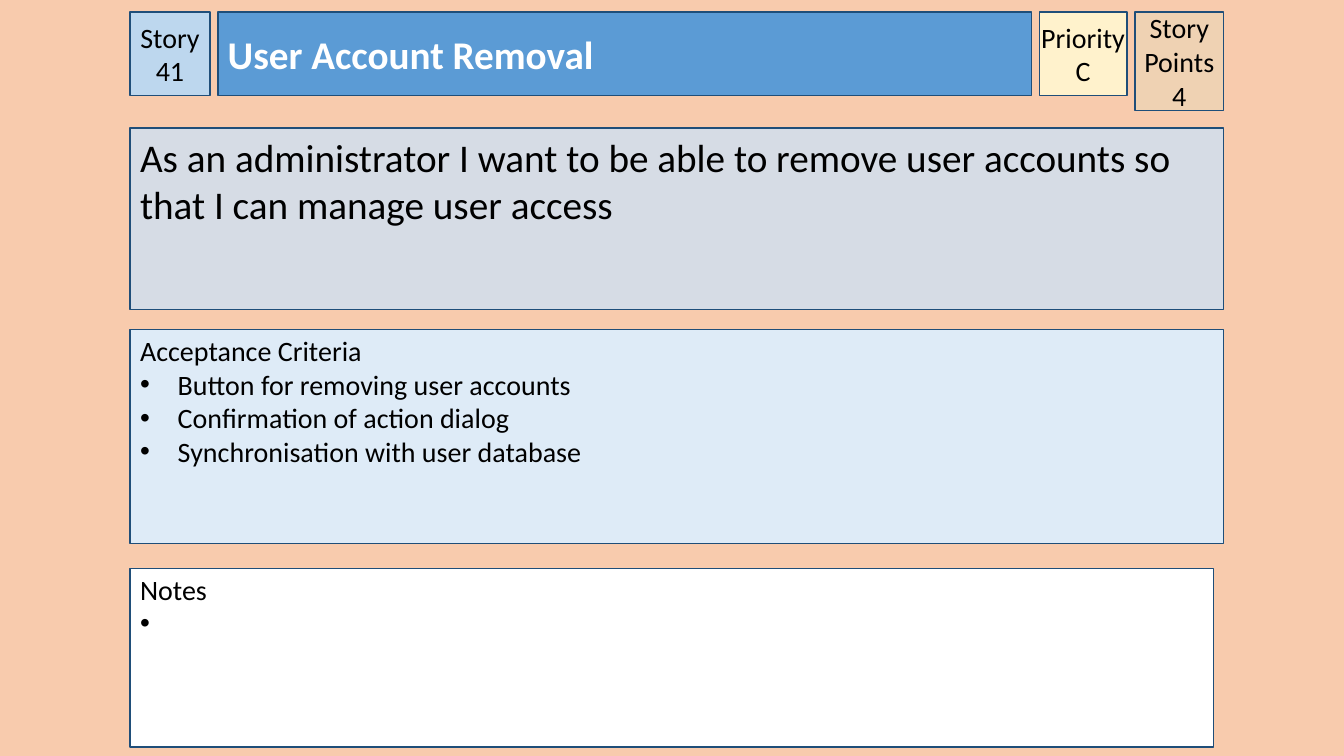
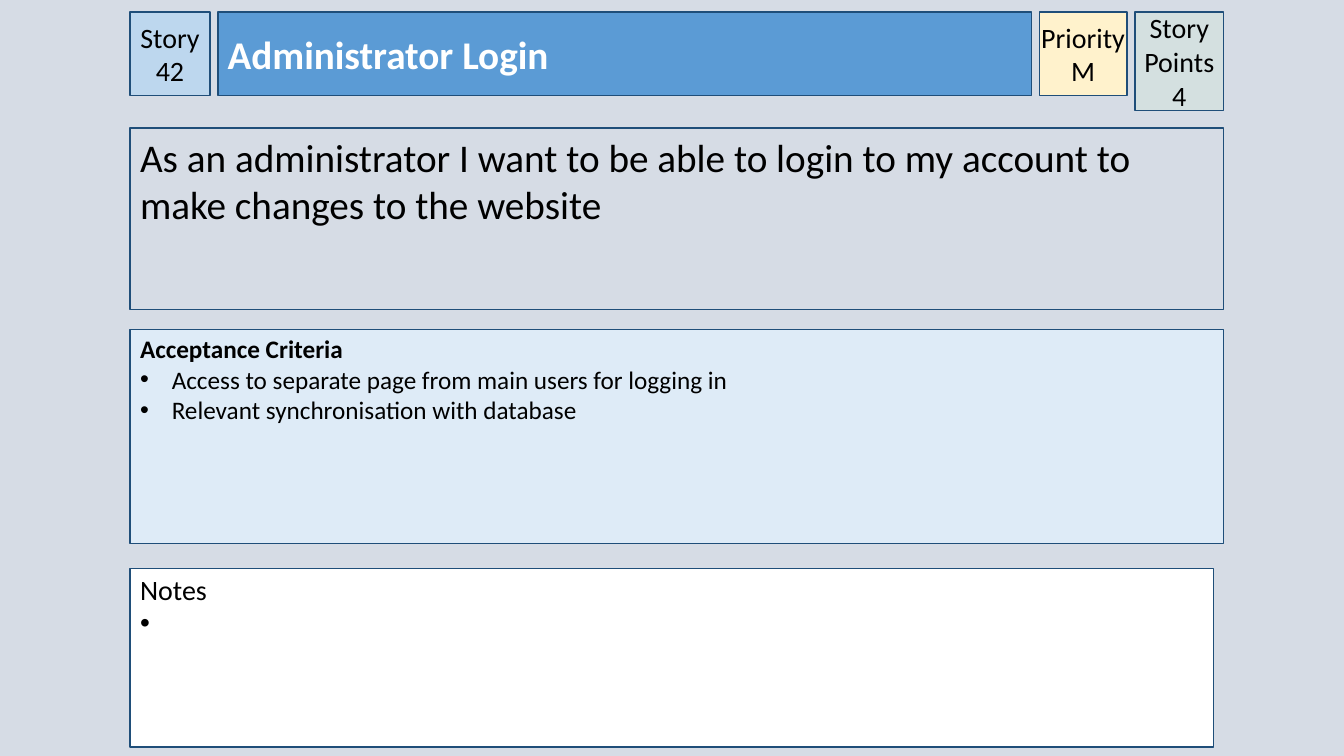
"""Builds two user story cards that share one layout."""
from lxml import etree
from pptx import Presentation
from pptx.dml.color import RGBColor
from pptx.enum.shapes import MSO_SHAPE
from pptx.enum.text import MSO_ANCHOR, PP_ALIGN
from pptx.oxml.ns import qn
from pptx.util import Cm, Pt

RECT = MSO_SHAPE.RECTANGLE
TOP, MIDDLE = MSO_ANCHOR.TOP, MSO_ANCHOR.MIDDLE
LEFT, CENTER = PP_ALIGN.LEFT, PP_ALIGN.CENTER
FONT = "Calibri"
COLORS = {
    "peach": "F8CBAD", "grey": "D6DCE5", "sky": "BDD7EE", "blue": "5B9BD5",
    "pale": "DEEBF7", "green": "CCF0CD", "cream": "FFF2CC", "white": "FFFFFF",
    "navy": "1F4E79", "black": "000000",
}
EDGE, HEAD, GAP = 3.28, 0.3, 0.2
WIDE = 27.56
BADGE = (0, 0.13, 0, 0.13)
BODY = (0.25, 0.13, 0.25, 0.13)
LIST = (0.25, 0.1, 0.25, 0.13)

CARDS = [
    {"back": "peach", "story": "41", "title": "User Account Removal",
     "rank": "C", "points": "4", "size": 20, "bold": False, "indent": 0.95,
     "want": "As an administrator I want to be able to remove user accounts so "
             "that I can manage user access",
     "tests": ["Button for removing user accounts",
               "Confirmation of action dialog",
               "Synchronisation with user database"]},
    {"back": "grey", "story": "42", "title": "Administrator Login",
     "rank": "M", "points": "4", "size": 18, "bold": True, "indent": 0.8,
     "want": "As an administrator I want to be able to login to my account to "
             "make changes to the website",
     "tests": ["Access to separate page from main users for logging in",
               "Relevant synchronisation with database"]},
]


def add_box(slide, place, fill, inset, anchor):
    box = slide.shapes.add_shape(RECT, *[Cm(n) for n in place])
    box.shadow.inherit = False
    box.fill.solid()
    box.fill.fore_color.rgb = RGBColor.from_string(COLORS[fill])
    box.line.color.rgb = RGBColor.from_string(COLORS["navy"])
    box.line.width = Pt(1)
    frame = box.text_frame
    frame.word_wrap = True
    frame.vertical_anchor = anchor
    frame.margin_left, frame.margin_top, frame.margin_right, frame.margin_bottom = [
        Cm(n) for n in inset]
    return box


def add_text(box, lines, size, ink="black", bold=False, align=LEFT, indent=0):
    frame = box.text_frame
    for text in lines:
        para = frame.paragraphs[-1]
        if para.runs:
            para = frame.add_paragraph()
        para.alignment = align
        run = para.add_run()
        run.text = text
        run.font.name = FONT
        run.font.size = Pt(size)
        run.font.bold = bold
        run.font.color.rgb = RGBColor.from_string(COLORS[ink])
        if indent:
            props = para._p.get_or_add_pPr()
            props.set("marL", str(Cm(indent)))
            props.set("indent", str(-Cm(indent)))
            etree.SubElement(props, qn("a:buFont"), typeface="Arial")
            etree.SubElement(props, qn("a:buChar"), char="•")


deck = Presentation()
deck.slide_width, deck.slide_height = Cm(33.87), Cm(19.05)

for card in CARDS:
    slide = deck.slides.add_slide(deck.slide_layouts[6])
    back = slide.background.fill
    back.solid()
    back.fore_color.rgb = RGBColor.from_string(COLORS[card["back"]])

    header = [
        (2.01, 2.11, "sky", BADGE, True, ["Story " + card["story"]]),
        (20.5, 2.11, "blue", BODY, True, [card["title"]]),
        (2.21, 2.11, "cream", BADGE, False, ["Priority", card["rank"]]),
        (2.24, 2.49, "green", BADGE, True, ["Story Points", card["points"]]),
    ]
    left = EDGE
    for width, height, fill, inset, wrap, lines in header:
        box = add_box(slide, (left, HEAD, width, height), fill, inset, MIDDLE)
        box.text_frame.word_wrap = wrap
        if fill == "blue":
            add_text(box, lines, 28, "white", True)
        else:
            add_text(box, lines, 20, align=CENTER)
        if fill == "green":
            tint = box.element.spPr.find(qn("a:solidFill"))[0]
            etree.SubElement(tint, qn("a:alpha"), val="20000")
        left += width + GAP

    want = add_box(slide, (EDGE, 3.23, WIDE, 4.57), "grey", BODY, TOP)
    add_text(want, [card["want"]], 28)

    tests = add_box(slide, (EDGE, 8.31, WIDE, 5.38), "pale", LIST, TOP)
    add_text(tests, ["Acceptance Criteria"], card["size"], bold=card["bold"])
    add_text(tests, card["tests"], card["size"], indent=card["indent"])

    notes = add_box(slide, (EDGE, 14.33, 27.31, 4.5), "white", LIST, TOP)
    add_text(notes, ["Notes"], 20)
    add_text(notes, [" "], 20, indent=0.5)

deck.save("out.pptx")
